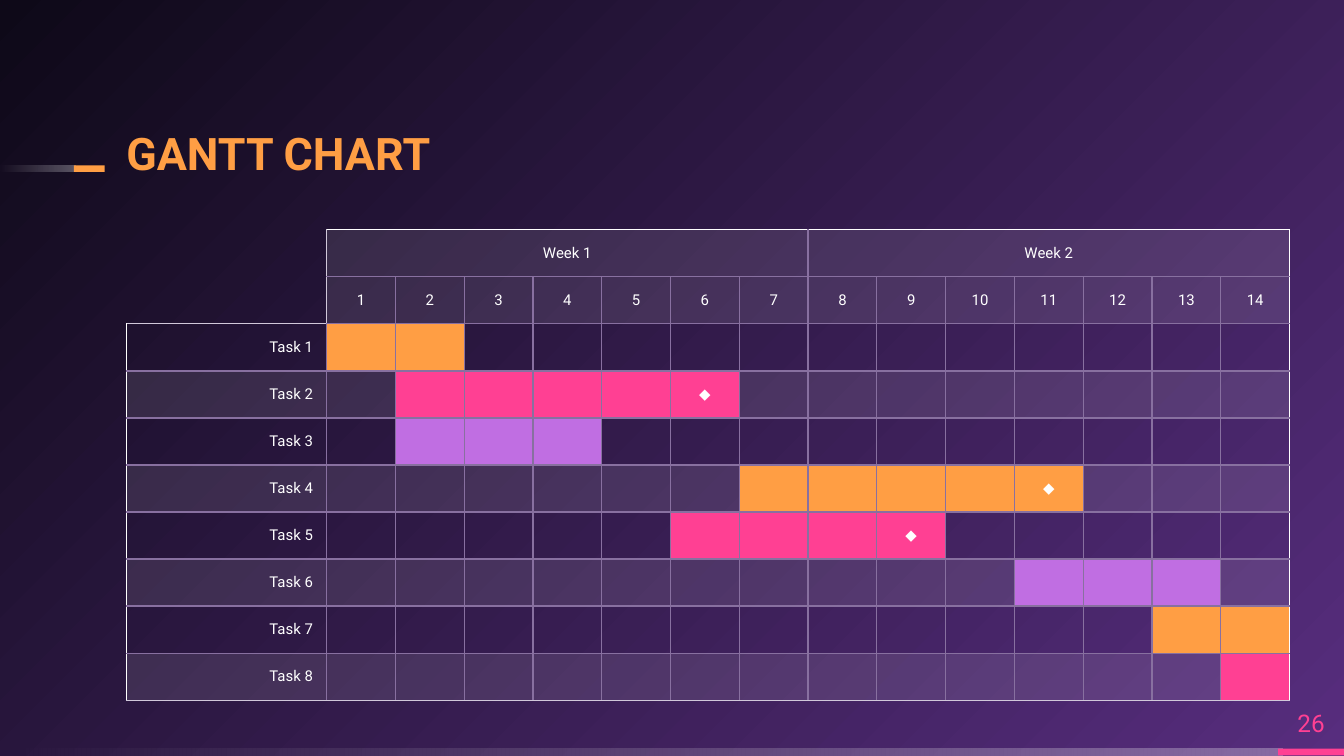
from lxml import etree
from pptx import Presentation
from pptx.dml.color import RGBColor
from pptx.enum.shapes import MSO_SHAPE
from pptx.enum.text import MSO_ANCHOR, PP_ALIGN
from pptx.oxml.ns import qn
from pptx.util import Inches, Pt

RECTANGLE = MSO_SHAPE.RECTANGLE
LEFT, CENTER, RIGHT = PP_ALIGN.LEFT, PP_ALIGN.CENTER, PP_ALIGN.RIGHT
MIDDLE, BOTTOM = MSO_ANCHOR.MIDDLE, MSO_ANCHOR.BOTTOM

WHITE = RGBColor(0xFF, 0xFF, 0xFF)
ORANGE = RGBColor(0xFF, 0x9E, 0x44)
PINK = RGBColor(0xFF, 0x40, 0x93)
VIOLET = RGBColor(0xC0, 0x6E, 0xE2)
PURPLE = RGBColor(0x57, 0x2D, 0x7E)
NIGHT = RGBColor(0x0E, 0x09, 0x18)
GRID = RGBColor(0x88, 0x70, 0xA0)
PALE = RGBColor(0xD1, 0xC8, 0xDA)

FONT = "Roboto"
MILESTONE = "◆"
NO_TABLE_STYLE = "{2D5ABB26-0587-4C30-8999-92F81FD0307C}"
WEEKS, DAYS_PER_WEEK, HEADER_ROWS = 2, 7, 2
DAYS = WEEKS * DAYS_PER_WEEK
TABLE_WIDTH, TASK_WIDTH, ROW_HEIGHT = 8.66, 1.49, 0.35
TASKS = [
    (1, 2, ORANGE, False),
    (2, 6, PINK, True),
    (2, 4, VIOLET, False),
    (7, 11, ORANGE, True),
    (6, 9, PINK, True),
    (11, 13, VIOLET, False),
    (13, 14, ORANGE, False),
    (14, 14, PINK, False),
]
LAST_ROW = HEADER_ROWS + len(TASKS) - 1


def add_element(parent, tag, **attributes):
    """Append a DrawingML element and return it."""
    element = etree.SubElement(parent, qn(tag))
    for name, value in attributes.items():
        element.set(name, str(value))
    return element


def set_alpha(color_element, percent):
    """Give a colour element an opacity in percent."""
    add_element(color_element, "a:alpha", val=percent * 1000)


def set_gradient(fill, parent, stops, angle=None):
    """Fill with (colour, opacity) stops, along an angle or from the bottom right."""
    fill.solid()
    gradient = etree.Element(qn("a:gradFill"), rotWithShape="1")
    stop_list = add_element(gradient, "a:gsLst")
    for (color, opacity), position in zip(stops, (0, 100000)):
        stop = add_element(stop_list, "a:gs", pos=position)
        set_alpha(add_element(stop, "a:srgbClr", val=color), opacity)
    if angle is None:
        focus = add_element(gradient, "a:path", path="circle")
        add_element(focus, "a:fillToRect", l=100000, t=100000)
    else:
        add_element(gradient, "a:lin", ang=angle * 60000, scaled=0)
    solid = parent.find(qn("a:solidFill"))
    parent.replace(solid, gradient)


def write_text(frame, text, size=8, color=WHITE, align=CENTER, bold=False, spacing=None):
    """Write one formatted paragraph in a text frame."""
    paragraph = frame.paragraphs[0]
    paragraph.alignment = align
    paragraph.line_spacing = spacing
    run = paragraph.add_run()
    run.text = text
    run.font.name = FONT
    run.font.size = Pt(size)
    run.font.bold = bold
    run.font.color.rgb = color


def add_label(slide, box, text, anchor, **text_format):
    """Add a text box without margins."""
    frame = slide.shapes.add_textbox(*map(Inches, box)).text_frame
    frame.word_wrap = True
    frame.vertical_anchor = anchor
    frame.margin_left = frame.margin_right = frame.margin_top = frame.margin_bottom = 0
    write_text(frame, text, **text_format)


def add_bar(slide, box, color=None):
    """Add a plain bar, or one that fades out to the left if no colour is given."""
    bar = slide.shapes.add_shape(RECTANGLE, *map(Inches, box))
    bar.shadow.inherit = False
    bar.line.fill.background()
    if color is None:
        set_gradient(bar.fill, bar.fill._xPr, [(WHITE, 30), (WHITE, 0)], angle=180)
    else:
        bar.fill.solid()
        bar.fill.fore_color.rgb = color


def cell_edges(row, column):
    """Return the left, right, top and bottom border colours of a cell."""
    header = row < HEADER_ROWS
    if header and column == 0:
        return None, PALE, None, PALE if row == HEADER_ROWS - 1 else None
    left, right, top, bottom = GRID, GRID, GRID, GRID
    if column == 0:
        left = WHITE
        if row == HEADER_ROWS:
            top = PALE
    elif header and column == 1:
        left = PALE
    if row == 0:
        top = WHITE
        if column > DAYS_PER_WEEK:
            right = WHITE
    if column == DAYS:
        right = WHITE
    if row == LAST_ROW:
        bottom = PALE
    return left, right, top, bottom


def style_cell(cell, row, column, bar_color=None):
    """Set the borders and fill of a cell, with a light tint on alternate rows."""
    properties = cell._tc.get_or_add_tcPr()
    for side, color in zip("LRTB", cell_edges(row, column)):
        line = add_element(properties, f"a:ln{side}", w=Pt(0.75))
        if color is None:
            add_element(line, "a:noFill")
        else:
            add_element(add_element(line, "a:solidFill"), "a:srgbClr", val=color)
    header = row < HEADER_ROWS
    tinted = column > 0 if header else (row - HEADER_ROWS) % 2 == 1
    if bar_color is not None:
        cell.fill.solid()
        cell.fill.fore_color.rgb = bar_color
    elif tinted:
        cell.fill.solid()
        cell.fill.fore_color.rgb = WHITE
        set_alpha(properties.find(qn("a:solidFill")).find(qn("a:srgbClr")), 10)
    else:
        cell.fill.background()


def cell_content(row, column):
    """Return the text and bar colour of a cell."""
    if row == 0:
        week, day = divmod(column - 1, DAYS_PER_WEEK)
        return (f"Week {week + 1}" if column and day == 0 else ""), None
    if row < HEADER_ROWS:
        return (str(column) if column else ""), None
    task = row - HEADER_ROWS
    if column == 0:
        return f"Task {task + 1}", None
    start, end, color, milestone = TASKS[task]
    text = MILESTONE if milestone and column == end else ""
    return text, color if start <= column <= end else None


def add_gantt(slide):
    """Add the schedule table."""
    rows = LAST_ROW + 1
    box = (0.94, 1.71, TABLE_WIDTH, rows * ROW_HEIGHT)
    table = slide.shapes.add_table(rows, DAYS + 1, *map(Inches, box)).table
    table.first_row = table.horz_banding = False
    table._tbl.tblPr.find(qn("a:tableStyleId")).text = NO_TABLE_STYLE
    for column in range(DAYS + 1):
        width = (TABLE_WIDTH - TASK_WIDTH) / DAYS if column else TASK_WIDTH
        table.columns[column].width = Inches(width)
    for first_day in range(1, DAYS + 1, DAYS_PER_WEEK):
        table.cell(0, first_day).merge(table.cell(0, first_day + DAYS_PER_WEEK - 1))
    for row in range(rows):
        table.rows[row].height = Inches(ROW_HEIGHT)
        for column in range(DAYS + 1):
            cell = table.cell(row, column)
            text, bar_color = cell_content(row, column)
            cell.vertical_anchor = MIDDLE
            if text:
                write_text(cell.text_frame, text, align=CENTER if column else RIGHT)
            else:
                cell.margin_top = cell.margin_bottom = 0
            style_cell(cell, row, column, bar_color)


def main():
    """Build the slide and save it."""
    deck = Presentation()
    deck.slide_width = Inches(10)
    deck.slide_height = deck.slide_width * 9 // 16
    slide = deck.slides.add_slide(deck.slide_layouts[6])
    backdrop = slide.background.fill
    set_gradient(backdrop, backdrop._xPr, [(PURPLE, 100), (NIGHT, 100)])
    add_bar(slide, (0, 5.57, 9.54, 0.05))
    add_bar(slide, (9.51, 5.57, 0.49, 0.05), PINK)
    add_bar(slide, (0, 1.23, 0.56, 0.05))
    add_bar(slide, (0.55, 1.23, 0.23, 0.05), ORANGE)
    add_label(slide, (0.94, 0.91, 5.8, 0.43), "GANTT CHART", BOTTOM,
              size=24, color=ORANGE, align=LEFT, bold=True, spacing=0.9)
    add_label(slide, (9.51, 5.19, 0.49, 0.38), "26", MIDDLE, size=13, color=PINK)
    add_gantt(slide)
    deck.save("out.pptx")


if __name__ == "__main__":
    main()
